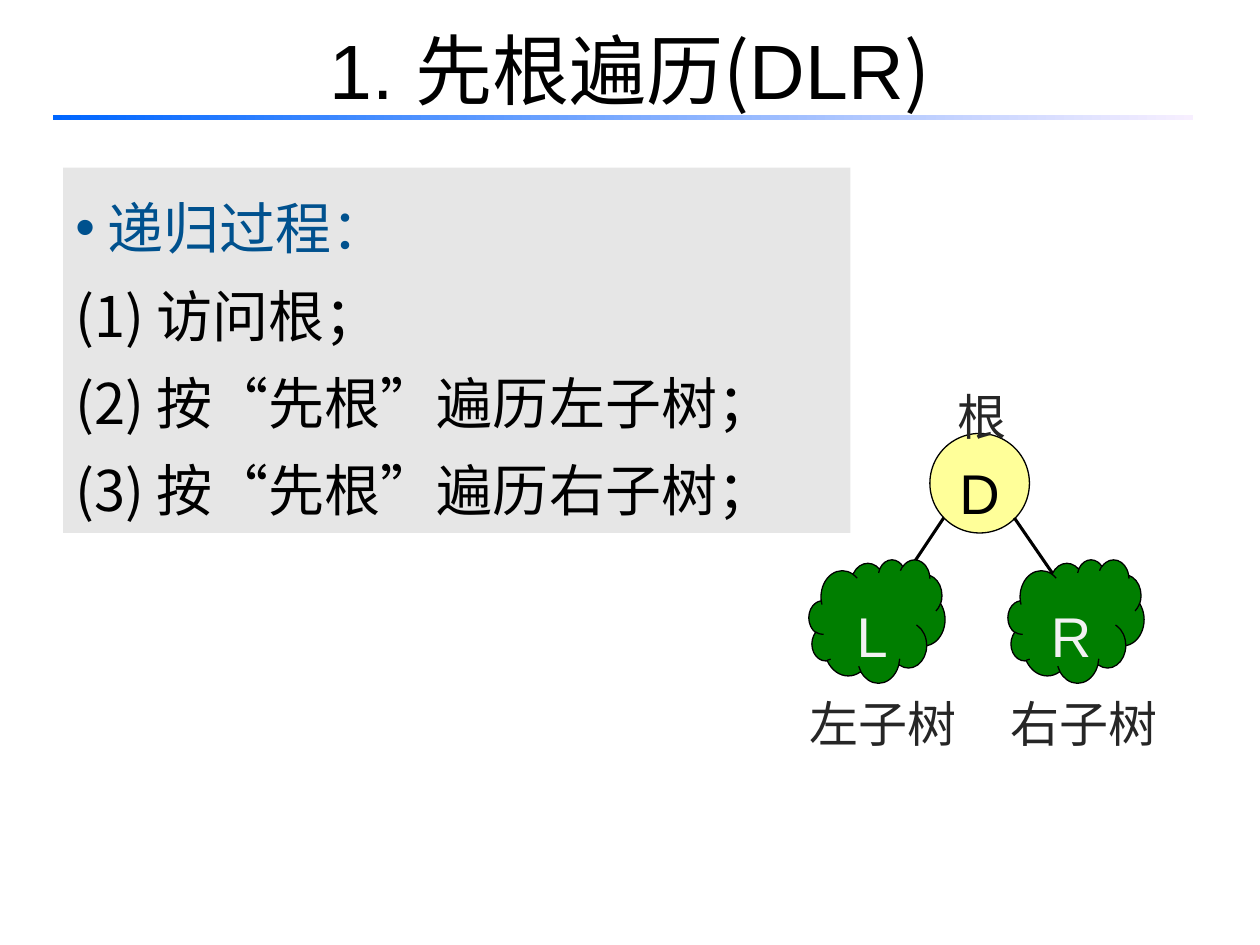
from lxml.etree import SubElement
from pptx import Presentation
from pptx.dml.color import RGBColor
from pptx.enum.shapes import MSO_CONNECTOR, MSO_SHAPE
from pptx.enum.text import MSO_ANCHOR, PP_ALIGN
from pptx.oxml.ns import qn
from pptx.util import Inches, Pt

LATIN, CHINESE = "Arial", "Noto Sans CJK SC"


def color(hex_value):
    return RGBColor.from_string(hex_value)


def apply(target, values):
    for name, value in values.items():
        setattr(target, name, value)


class SlideBuilder:
    black = "000000"
    centered = {"alignment": PP_ALIGN.CENTER}
    node_format = {"alignment": PP_ALIGN.CENTER, "line_spacing": 1.25}
    label_format = {"line_spacing": 1.4}
    list_format = {"alignment": PP_ALIGN.LEFT, "line_spacing": 1.3}

    def __init__(self, deck):
        self.slide = deck.slides.add_slide(deck.slide_layouts[6])

    def span(self, para, text, size, hex_value, font=LATIN):
        span = para.add_run()
        span.text = text
        apply(span.font, {"name": font, "size": Pt(size)})
        span.font.color.rgb = color(hex_value)
        SubElement(span.font._element, qn("a:ea"), typeface=CHINESE)

    def shape(self, kind, place, fill=None, line=None):
        shape = self.slide.shapes.add_shape(kind, *map(Inches, place))
        shape.shadow.inherit = False
        if fill:
            shape.fill.solid()
            shape.fill.fore_color.rgb = color(fill)
        if line:
            shape.line.color.rgb = color(line)
            shape.line.width = Pt(0.75)
        else:
            shape.line.fill.background()
        return shape

    def node(self, kind, place, text, fill, text_color, frame_format):
        shape = self.shape(kind, place, fill, self.black)
        apply(shape.text_frame, frame_format)
        para = shape.text_frame.paragraphs[0]
        apply(para, self.node_format)
        self.span(para, text, 32, text_color)

    def text(self, place, spans, size, hex_value, para_format, anchor=MSO_ANCHOR.TOP):
        box = self.slide.shapes.add_textbox(*map(Inches, place))
        apply(box.text_frame, {"word_wrap": True, "vertical_anchor": anchor})
        para = box.text_frame.paragraphs[0]
        apply(para, para_format)
        for text, font in spans:
            self.span(para, text, size, hex_value, font)

    def branch(self, start, end):
        points = map(Inches, (*start, *end))
        line = self.slide.shapes.add_connector(MSO_CONNECTOR.STRAIGHT, *points)
        line.line.color.rgb = color(self.black)
        line.line.width = Pt(1.75)
        SubElement(line._element.spPr, qn("a:effectLst"))

    def steps(self, place, fill, heading, heading_color, items):
        panel = self.shape(MSO_SHAPE.RECTANGLE, place, fill)
        frame = panel.text_frame
        apply(frame, {"word_wrap": True, "vertical_anchor": MSO_ANCHOR.TOP})
        for index, text in enumerate([heading, *items]):
            para = frame.add_paragraph() if index else frame.paragraphs[0]
            apply(para, self.list_format)
            properties = para._p.get_or_add_pPr()
            apply_indent = {"marL": Inches(0.12), "indent": -Inches(0.12)}
            for name, value in apply_indent.items():
                properties.set(name, str(value))
            SubElement(properties, qn("a:buFont"), typeface=CHINESE if index else LATIN)
            if index:
                SubElement(properties, qn("a:buAutoNum"), type="arabicParenBoth")
            else:
                SubElement(properties, qn("a:buChar"), char="•")
            self.span(para, f" {text}", 32, self.black if index else heading_color)

    def gradient_rule(self, place, stops):
        rule = self.shape(MSO_SHAPE.RECTANGLE, place)
        rule.fill.gradient()
        rule.fill.gradient_angle = 0
        for position, (stop, hex_value) in enumerate(zip(rule.fill.gradient_stops, stops)):
            stop.position = position
            stop.color.rgb = color(hex_value)


def main():
    deck = Presentation()
    apply(deck, {"slide_width": Inches(10), "slide_height": Inches(7.5)})
    page = SlideBuilder(deck)

    # Recursive steps
    page.steps((0.5, 1.33, 6.25, 2.9), "E6E6E6", "递归过程：", "00518E",
               ["访问根；", "按“先根”遍历左子树；", "按“先根”遍历右子树；"])

    # Root node and branches
    page.node(MSO_SHAPE.OVAL, (7.38, 3.44, 0.79, 0.79), "D", "FFFF99", page.black,
              {"word_wrap": False, "vertical_anchor": MSO_ANCHOR.MIDDLE})
    page.branch((7.49, 4.11), (7.19, 4.56))
    page.branch((8.05, 4.11), (8.36, 4.56))

    # Subtrees
    for left, letter in ((6.42, "L"), (8, "R")):
        page.node(MSO_SHAPE.CLOUD, (left, 4.44, 1.08, 0.98), letter, "007E00", "F2F2F2",
                  {"word_wrap": True, "vertical_anchor": MSO_ANCHOR.TOP})

    # Tree labels
    for left, top, width, label in ((7.5, 2.83, 0.92, "根"),
                                    (6.33, 5.27, 1.5, "左子树"),
                                    (7.92, 5.27, 1.5, "右子树")):
        page.text((left, top, width, 0.76), [(label, LATIN)], 28, "262626",
                  page.label_format)

    # Title and rule
    page.text((0.5, -0.08, 9, 1.25),
              [("1. ", LATIN), ("先根遍历(", CHINESE), ("DLR", LATIN), (")", CHINESE)],
              44, page.black, page.centered, MSO_ANCHOR.MIDDLE)
    page.gradient_rule((0.42, 0.91, 9.05, 0.04), ["0066FF", "F7EFFF"])

    deck.save("out.pptx")


if __name__ == "__main__":
    main()
